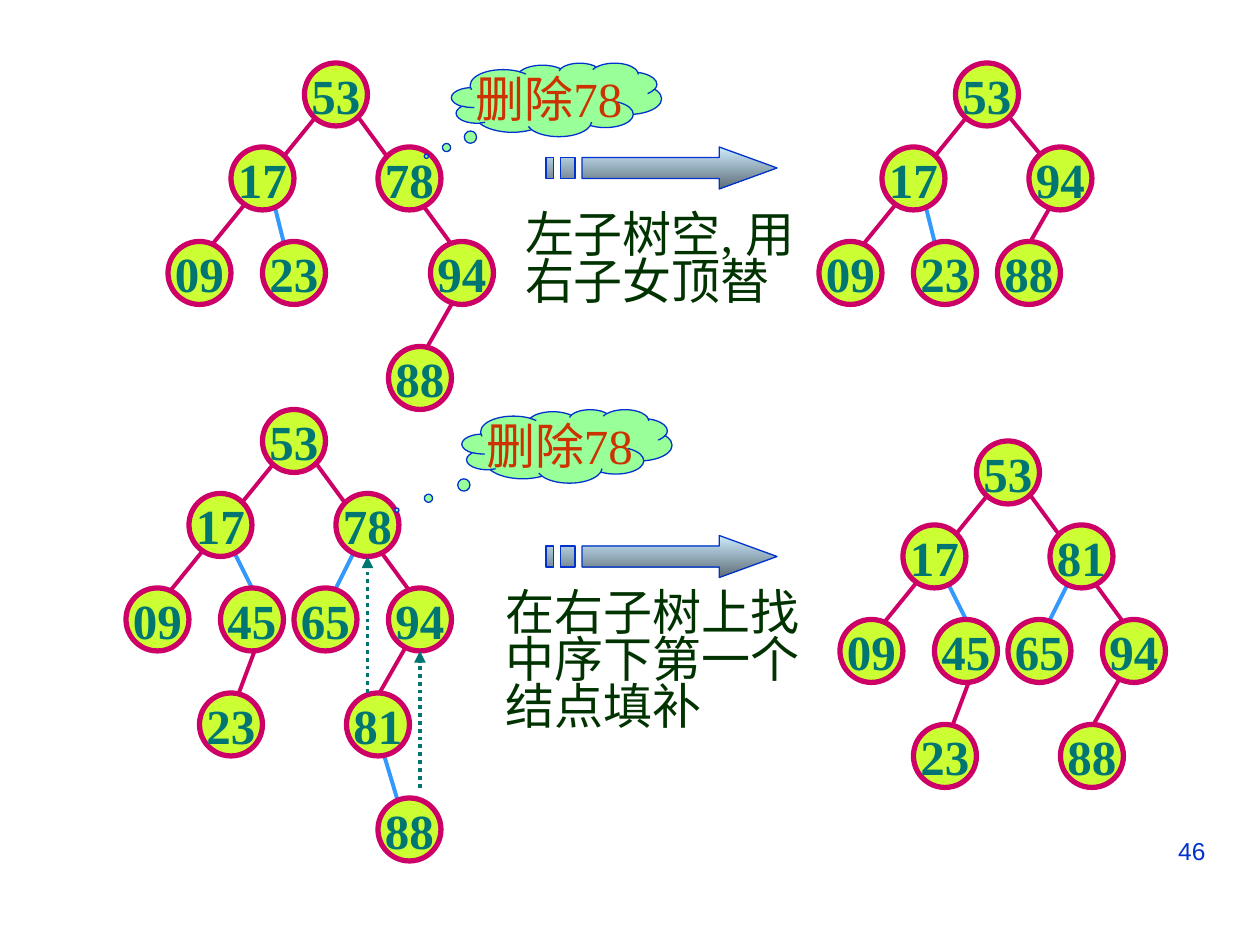
from lxml import etree
from pptx import Presentation
from pptx.dml.color import RGBColor
from pptx.enum.dml import MSO_LINE
from pptx.enum.shapes import MSO_CONNECTOR, MSO_SHAPE
from pptx.enum.text import MSO_ANCHOR, PP_ALIGN
from pptx.oxml.ns import qn
from pptx.util import Pt

STRAIGHT = MSO_CONNECTOR.STRAIGHT
OVAL, CLOUD = MSO_SHAPE.OVAL, MSO_SHAPE.CLOUD_CALLOUT
DOTTED = MSO_LINE.ROUND_DOT
MIDDLE = MSO_ANCHOR.MIDDLE
LEFT, CENTER, RIGHT = PP_ALIGN.LEFT, PP_ALIGN.CENTER, PP_ALIGN.RIGHT

LIME = RGBColor(0xCC, 0xFF, 0x33)
CRIMSON = RGBColor(0xCC, 0x00, 0x66)
SKY = RGBColor(0x33, 0x99, 0xFF)
TEAL = RGBColor(0x00, 0x75, 0x72)
MINT = RGBColor(0x99, 0xFF, 0x99)
BLUE = RGBColor(0x00, 0x33, 0xCC)
RED = RGBColor(0xCC, 0x33, 0x00)
DARK_GREEN = RGBColor(0x00, 0x33, 0x00)
PALE_BLUE = RGBColor(0xCC, 0xEC, 0xFF)
SLATE = RGBColor(0x5E, 0x6D, 0x76)

NODE_SIZE = 36

# Node corners, measured from the corner of the root
ROOT, L, R = (0, 0), (-42, 48), (42, 48)
LL, LR, RL, RR = (-78, 102), (-24, 102), (18, 102), (72, 102)
R_ONLY_LEFT = (24, 102)
LRL, RRL, RRLR = (-36, 162), (48, 162), (66, 222)

# Edges as (start x, start y, end x, end y, colour), from the same corner
LEFT_SPINE = (12, 24, -66, 120, CRIMSON)
RIGHT_SPINE = (30, 30, 96, 120, CRIMSON)
FULL_EDGES = [
    (54, 78, 36, 114, SKY),
    (0, 126, -18, 174, CRIMSON),
    (-18, 78, 0, 114, SKY),
    LEFT_SPINE,
    (84, 132, 60, 174, CRIMSON),
    RIGHT_SPINE,
]
L_TO_LR = (-18, 78, -6, 126, SKY)

# Root corner, nodes, edges
TREES = [
    ((174, 36),
     {"53": ROOT, "78": R, "88": RRL, "17": L, "94": RR, "09": LL, "23": LR},
     [L_TO_LR, LEFT_SPINE, (84, 138, 60, 180, CRIMSON), RIGHT_SPINE]),
    ((546, 36),
     {"53": ROOT, "94": R, "88": R_ONLY_LEFT, "17": L, "09": LL, "23": LR},
     [L_TO_LR, LEFT_SPINE, (60, 72, 36, 114, CRIMSON), (30, 30, 60, 66, CRIMSON)]),
    ((150, 234),
     {"53": ROOT, "78": R, "81": RRL, "17": L, "94": RR, "09": LL, "45": LR,
      "23": LRL, "65": RL, "88": RRLR},
     FULL_EDGES + [(66, 186, 84, 246, SKY)]),
    ((558, 252),
     {"53": ROOT, "81": R, "88": RRL, "17": L, "94": RR, "09": LL, "45": LR,
      "23": LRL, "65": RL},
     FULL_EDGES),
]


def write_text(frame, text, color, size=28, font="Times New Roman", bold=False,
               align=LEFT, wrap=True, spacing=None):
    frame.word_wrap = wrap
    para = frame.paragraphs[0]
    para.alignment = align
    para.line_spacing = spacing
    span = para.add_run()
    span.text = text
    span.font.name = font
    span.font.size = Pt(size)
    span.font.bold = bold
    span.font.color.rgb = color


def add_text(page, left, top, width, height, text, color, **text_format):
    box = page.shapes.add_textbox(Pt(left), Pt(top), Pt(width), Pt(height))
    write_text(box.text_frame, text, color, **text_format)


def add_line(page, x1, y1, x2, y2, color):
    line = page.shapes.add_connector(STRAIGHT, Pt(x1), Pt(y1), Pt(x2), Pt(y2))
    line.line.color.rgb = color
    line.line.width = Pt(2.25)
    etree.SubElement(line._element.spPr, qn("a:effectLst"))
    return line


def add_dotted_arrow(page, x, bottom, top):
    arrow = add_line(page, x, bottom, x, top, TEAL)
    arrow.line.dash_style = DOTTED
    etree.SubElement(arrow.line._get_or_add_ln(), qn("a:tailEnd"), type="triangle")


def add_filled_shape(page, kind, left, top, width, height, fill, outline, weight):
    shape = page.shapes.add_shape(kind, Pt(left), Pt(top), Pt(width), Pt(height))
    shape.shadow.inherit = False
    shape.fill.solid()
    shape.fill.fore_color.rgb = fill
    shape.line.color.rgb = outline
    shape.line.width = Pt(weight)
    shape.text_frame.vertical_anchor = MIDDLE
    return shape


def add_tree(page, root, nodes, edges):
    left, top = root
    for x1, y1, x2, y2, color in edges:
        add_line(page, left + x1, top + y1, left + x2, top + y2, color)
    for key, (dx, dy) in nodes.items():
        node = add_filled_shape(page, OVAL, left + dx, top + dy, NODE_SIZE, NODE_SIZE,
                                LIME, CRIMSON, 3)
        write_text(node.text_frame, key, TEAL, bold=True, align=CENTER, wrap=False)


def add_cloud(page, left, top, tail_x, tail_y):
    cloud = add_filled_shape(page, CLOUD, left, top, 120, 42, MINT, BLUE, 0.75)
    cloud.adjustments[0] = tail_x
    cloud.adjustments[1] = tail_y
    write_text(cloud.text_frame, "删除78", RED, align=CENTER, wrap=False)


def add_striped_arrow(page, left, top):
    """Draw a right arrow with two stripes, on a grid of 32 by 4 units."""
    def at(column, row):
        return Pt(left + column * 132 / 32), Pt(top + row * 6)

    def bar(first, last):
        return [(first, 1), (first, 3), (last, 3), (last, 1)]

    head = [(24, 0), (24, 1), (5, 1), (5, 3), (24, 3), (24, 4), (32, 2)]
    builder = page.shapes.build_freeform(*at(*head[0]))
    builder.add_line_segments([at(*point) for point in head[1:]])
    for stripe in (bar(2, 4), bar(0, 1)):
        builder.move_to(*at(*stripe[0]))
        builder.add_line_segments([at(*point) for point in stripe[1:]])
    arrow = builder.convert_to_shape()
    arrow.shadow.inherit = False
    arrow.fill.gradient()
    arrow.fill.gradient_angle = 270
    for stop, color in zip(arrow.fill.gradient_stops, (PALE_BLUE, SLATE)):
        stop.color.rgb = color
    arrow.line.color.rgb = BLUE
    arrow.line.width = Pt(0.75)


def main():
    deck = Presentation()
    deck.slide_width, deck.slide_height = Pt(720), Pt(540)
    page = deck.slides.add_slide(deck.slide_layouts[6])

    for root, nodes, edges in TREES:
        add_tree(page, root, nodes, edges)

    add_cloud(page, 258, 36, -0.62, 0.77)
    add_cloud(page, 264, 234, -0.81, 0.87)
    for top in (84, 306):
        add_striped_arrow(page, 312, top)

    add_text(page, 293, 119, 175, 88, "左子树空, 用右子女顶替", DARK_GREEN, spacing=0.8)
    add_text(page, 282, 335, 186, 88, "在右子树上找中序下第一个结点填补", DARK_GREEN,
             spacing=0.8)

    add_dotted_arrow(page, 210, 396, 318)
    add_dotted_arrow(page, 240, 450, 372)

    add_text(page, 516, 474, 180, 37, "46", BLUE, size=14, font="Arial", align=RIGHT)
    deck.save("out.pptx")


if __name__ == "__main__":
    main()
